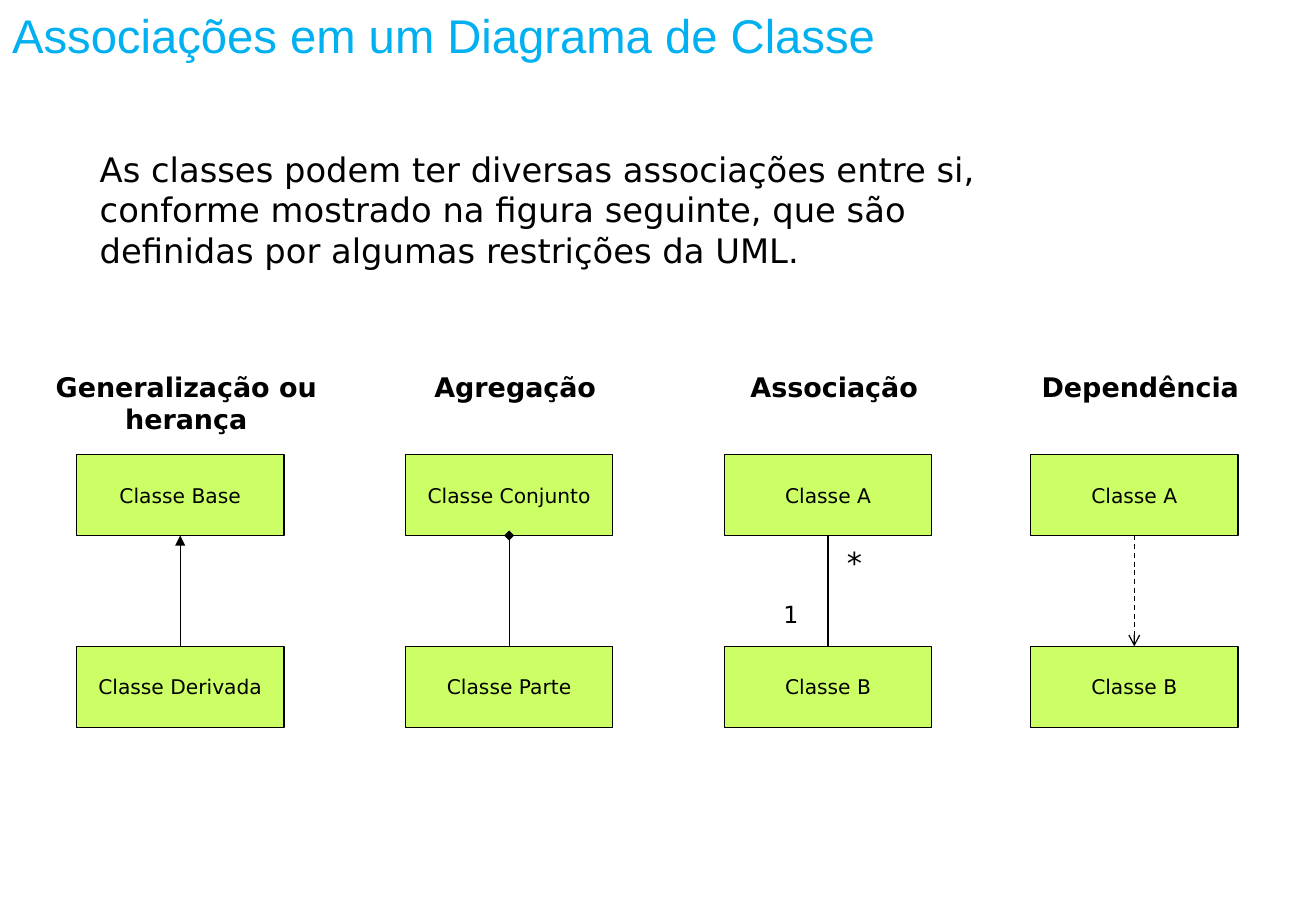
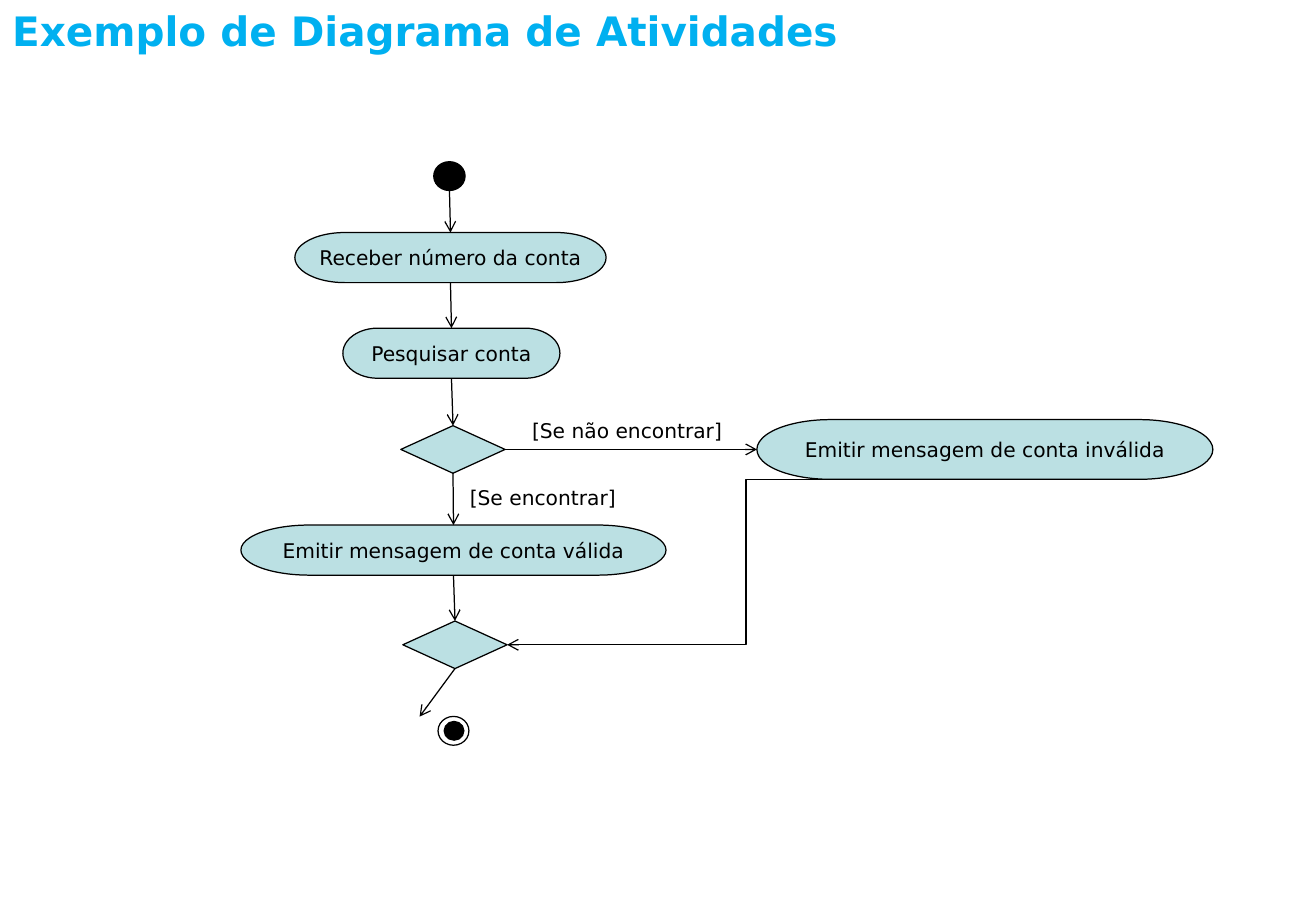
from dataclasses import dataclass

from pptx import Presentation
from pptx.dml.color import RGBColor
from pptx.enum.dml import MSO_LINE as Dash
from pptx.enum.shapes import MSO_CONNECTOR as Route, MSO_SHAPE as Preset
from pptx.enum.text import MSO_ANCHOR as Anchor, MSO_AUTO_SIZE as Fit, PP_ALIGN as Align
from pptx.oxml.ns import qn
from pptx.shapes.autoshape import Shape
from pptx.shapes.connector import Connector
from pptx.slide import Slide
from pptx.util import Emu, Pt

COLORS = {"ink": "000000", "title": "00B0F0", "class": "CCFF66", "activity": "BBE0E3"}
CELL = Pt(6)
COLUMNS, ROWS = 130, 90
TOP, LEFT, BOTTOM, RIGHT = range(4)
CLASS_WIDTH, CLASS_HEIGHT = 20.5, 8
BASE_ROW, DERIVED_ROW = 48.9, 67.85
TITLE_LAYOUT, BODY_LAYOUT = 5, 1


@dataclass(frozen=True)
class TextStyle:
    size: int
    font: str = "DejaVu Sans"
    bold: bool = False
    color: str = "ink"
    align: Align = Align.CENTER


@dataclass(frozen=True)
class Area:
    left: float
    top: float
    width: float
    height: float


@dataclass(frozen=True)
class Relation:
    caption: str
    center: float
    upper: str
    lower: str
    tip: str = ""
    downward: bool = False


@dataclass(frozen=True)
class Node:
    preset: Preset
    center: float
    middle: float
    width: float
    height: float
    fill: str = ""
    text: str = ""


LABEL = TextStyle(12)
CAPTION = TextStyle(16, bold=True)
BODY = TextStyle(20, align=Align.LEFT)

RELATIONS = [
    Relation("Generalização ou herança", 17.8, "Classe Base", "Classe Derivada", "triangle"),
    Relation("Agregação", 50.3, "Classe Conjunto", "Classe Parte", "diamond"),
    Relation("Associação", 81.8, "Classe A", "Classe B"),
    Relation("Dependência", 112.05, "Classe A", "Classe B", "arrow", downward=True),
]

ACTIVITIES = {
    "receive": Node(Preset.FLOWCHART_TERMINATOR, 44.5, 25.45, 30.75, 4.95, "activity",
                    "Receber número da conta"),
    "search": Node(Preset.FLOWCHART_TERMINATOR, 44.6, 34.9, 21.45, 4.95, "activity",
                   "Pesquisar conta"),
    "invalid": Node(Preset.FLOWCHART_TERMINATOR, 97.3, 44.4, 45.05, 5.9, "activity",
                    "Emitir mensagem de conta inválida"),
    "valid": Node(Preset.FLOWCHART_TERMINATOR, 44.8, 54.35, 42, 4.95, "activity",
                  "Emitir mensagem de conta válida"),
    "start": Node(Preset.OVAL, 44.4, 17.4, 3.1, 2.85, "ink"),
    "end ring": Node(Preset.OVAL, 44.8, 72.2, 3.05, 2.85),
    "end dot": Node(Preset.OVAL, 44.85, 72.2, 1.95, 1.85, "ink"),
    "branch": Node(Preset.FLOWCHART_DECISION, 44.75, 44.4, 10.3, 4.7, "activity"),
    "merge": Node(Preset.FLOWCHART_DECISION, 44.95, 63.7, 10.3, 4.7, "activity"),
}

FLOWS = [
    ("receive", BOTTOM, "search", TOP),
    ("search", BOTTOM, "branch", TOP),
    ("branch", BOTTOM, "valid", TOP),
    ("branch", RIGHT, "invalid", LEFT),
    ("valid", BOTTOM, "merge", TOP),
]


def cells(count: float) -> Emu:
    return Emu(round(count * CELL))


def rgb(name: str) -> RGBColor:
    return RGBColor.from_string(COLORS[name])


def write(shape: Shape, text: str, style: TextStyle,
          anchor: Anchor = Anchor.TOP, wrap: bool = True) -> None:
    frame = shape.text_frame
    frame.auto_size = Fit.NONE
    frame.word_wrap = wrap
    frame.vertical_anchor = anchor
    paragraph = frame.paragraphs[0]
    paragraph.alignment = style.align
    paragraph.space_before = Pt(0)
    run = paragraph.add_run()
    run.text = text
    run.font.name = style.font
    run.font.size = Pt(style.size)
    run.font.bold = style.bold
    run.font.color.rgb = rgb(style.color)


def place(shape: Shape, area: Area) -> None:
    shape.left, shape.top = cells(area.left), cells(area.top)
    shape.width, shape.height = cells(area.width), cells(area.height)


def add_titled_slide(deck: Presentation, layout: int, title: str, style: TextStyle) -> Slide:
    slide = deck.slides.add_slide(deck.slide_layouts[layout])
    place(slide.shapes.title, Area(0, 0, 120, 6.5))
    write(slide.shapes.title, title, style)
    return slide


def add_label(slide: Slide, area: Area, text: str, style: TextStyle, wrap: bool = False) -> None:
    box = slide.shapes.add_textbox(cells(area.left), cells(area.top),
                                   cells(area.width), cells(area.height))
    write(box, text, style, wrap=wrap)


def add_node(slide: Slide, node: Node) -> Shape:
    shape = slide.shapes.add_shape(
        node.preset, cells(node.center - node.width / 2), cells(node.middle - node.height / 2),
        cells(node.width), cells(node.height))
    shape.shadow.inherit = False
    shape.line.color.rgb = rgb("ink")
    shape.line.width = Pt(0.75)
    if node.fill:
        shape.fill.solid()
        shape.fill.fore_color.rgb = rgb(node.fill)
    else:
        shape.fill.background()
    if node.text:
        write(shape, node.text, LABEL, Anchor.MIDDLE, wrap=False)
    return shape


def add_link(slide: Slide, start: tuple[float, float], end: tuple[float, float],
             tip: str = "arrow", route: Route = Route.STRAIGHT, dashed: bool = False) -> Connector:
    link = slide.shapes.add_connector(route, *map(cells, start + end))
    link.line.color.rgb = rgb("ink")
    link.line.width = Pt(0.75)
    if dashed:
        link.line.dash_style = Dash.DASH
    properties = link._element.spPr
    if tip:
        tail = properties.makeelement(qn("a:tailEnd"), {"type": tip})
        properties.find(qn("a:ln")).append(tail)
    properties.append(properties.makeelement(qn("a:effectLst"), {}))
    return link


def join(link: Connector, source: Shape, source_site: int, target: Shape, target_site: int) -> None:
    link.begin_connect(source, source_site)
    link.end_connect(target, target_site)


def add_relation(slide: Slide, relation: Relation) -> None:
    add_label(slide, Area(relation.center - 13.5, 36, 28.2, 7.5), relation.caption, CAPTION, wrap=True)
    upper, lower = (
        add_node(slide, Node(Preset.RECTANGLE, relation.center, middle,
                             CLASS_WIDTH, CLASS_HEIGHT, "class", text))
        for middle, text in ((BASE_ROW, relation.upper), (DERIVED_ROW, relation.lower)))
    link = add_link(slide, (relation.center, DERIVED_ROW), (relation.center, BASE_ROW),
                    relation.tip, dashed=relation.downward)
    ends = (upper, BOTTOM, lower, TOP) if relation.downward else (lower, TOP, upper, BOTTOM)
    join(link, *ends)


def build_associations(deck: Presentation) -> None:
    slide = add_titled_slide(deck, BODY_LAYOUT, "Associações em um Diagrama de Classe",
                             TextStyle(28, "Arial", color="title", align=Align.LEFT))
    body = slide.placeholders[1]
    place(body, Area(8.65, 14.05, 94.2, 13.2))
    bullet = body.text_frame.paragraphs[0]._p.get_or_add_pPr()
    bullet.set("marL", "0")
    bullet.set("indent", "0")
    bullet.append(bullet.makeelement(qn("a:buNone"), {}))
    write(body, "As classes podem ter diversas associações entre si, conforme mostrado na figura "
                "seguinte, que são definidas por algumas restrições da UML.", BODY)
    for relation in RELATIONS:
        add_relation(slide, relation)
    add_label(slide, Area(82.3, 53.15, 4.2, 4.8), "*", TextStyle(18))
    add_label(slide, Area(76.2, 58.7, 3.85, 4.1), "1", TextStyle(14))


def build_activities(deck: Presentation) -> None:
    slide = add_titled_slide(deck, TITLE_LAYOUT, "Exemplo de Diagrama de Atividades",
                             TextStyle(24, bold=True, color="title", align=Align.LEFT))
    shapes = {key: add_node(slide, node) for key, node in ACTIVITIES.items()}
    for source, source_site, target, target_site in FLOWS:
        join(add_link(slide, (0, 0), (0, 0)),
             shapes[source], source_site, shapes[target], target_site)

    start, receive = ACTIVITIES["start"], ACTIVITIES["receive"]
    invalid, merge = ACTIVITIES["invalid"], ACTIVITIES["merge"]
    add_link(slide, (start.center, start.middle + start.height / 2),
             (receive.center, receive.middle - receive.height / 2))
    add_link(slide, (merge.center, merge.middle + merge.height / 2), (41.45, 70.8))
    add_link(slide, (invalid.center, invalid.middle + invalid.height / 2),
             (merge.center + merge.width / 2, merge.middle), route=Route.ELBOW)
    add_label(slide, Area(51.2, 40.7, 21.5, 3.6), "[Se não encontrar]", LABEL)
    add_label(slide, Area(45.1, 47.35, 17.05, 3.6), "[Se encontrar]", LABEL)


def main() -> None:
    deck = Presentation()
    deck.slide_width, deck.slide_height = cells(COLUMNS), cells(ROWS)
    build_associations(deck)
    build_activities(deck)
    deck.save("out.pptx")


if __name__ == "__main__":
    main()
